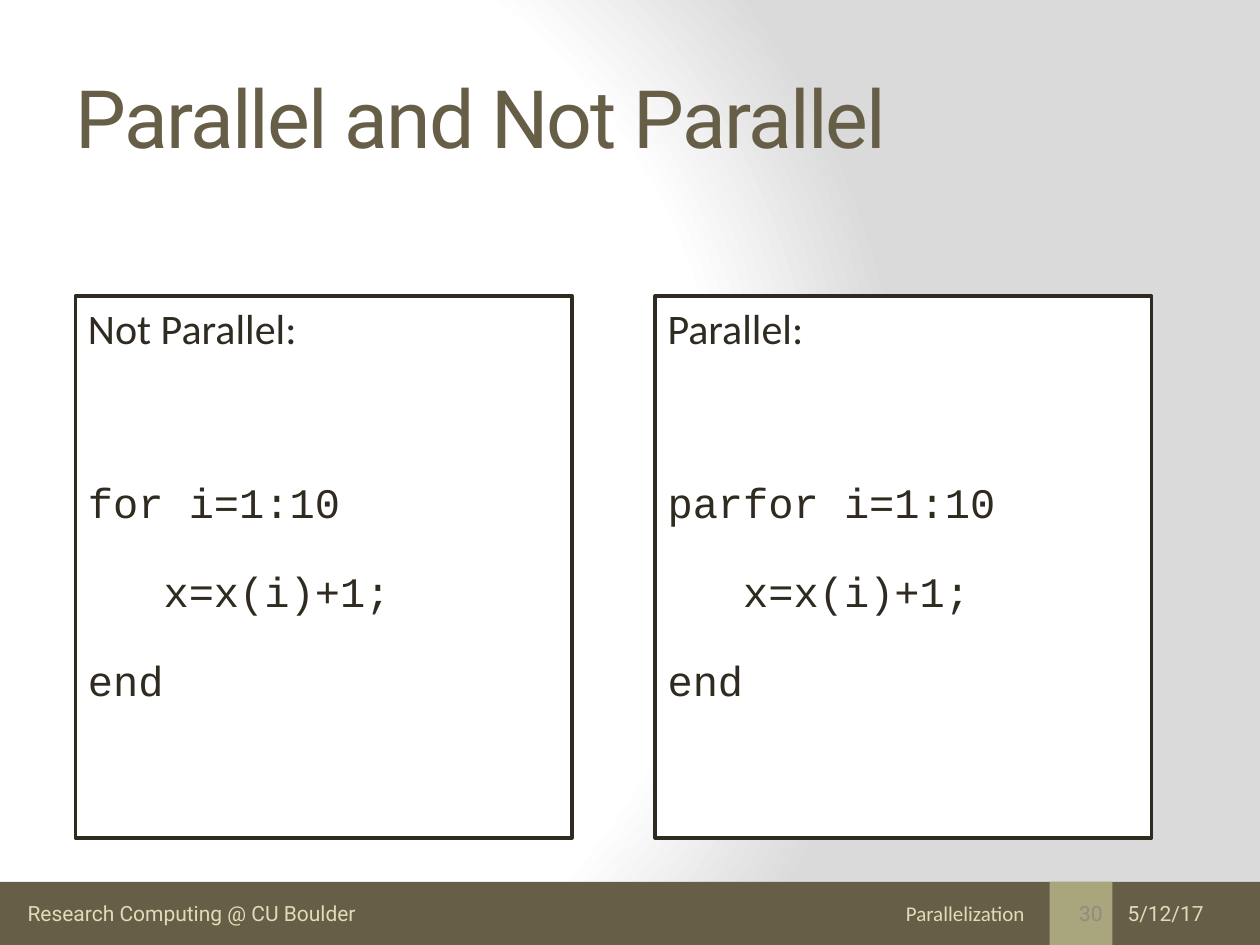
from dataclasses import dataclass

from pptx import Presentation
from pptx.dml.color import RGBColor
from pptx.enum.shapes import MSO_SHAPE
from pptx.enum.text import MSO_ANCHOR, MSO_AUTO_SIZE, PP_ALIGN
from pptx.oxml import parse_xml
from pptx.oxml.ns import nsdecls
from pptx.util import Inches, Pt

RECTANGLE = MSO_SHAPE.RECTANGLE
TOP, MIDDLE = MSO_ANCHOR.TOP, MSO_ANCHOR.MIDDLE
LEFT, RIGHT = PP_ALIGN.LEFT, PP_ALIGN.RIGHT
NO_AUTOFIT = MSO_AUTO_SIZE.NONE

BROWN = RGBColor(0x67, 0x5E, 0x47)
OLIVE = RGBColor(0xA9, 0xA5, 0x7C)
CREAM = RGBColor(0xDF, 0xDC, 0xB7)
INK = RGBColor(0x2F, 0x2B, 0x20)
GREY = RGBColor(0x8F, 0x8C, 0x82)
WHITE = RGBColor(0xFF, 0xFF, 0xFF)

PAGE_WIDTH, PAGE_HEIGHT = 10, 7.5
BAR_HEIGHT = 0.5
BAR_TOP = PAGE_HEIGHT - BAR_HEIGHT
PANEL_LEFT, PANEL_TOP = 0.6, 2.35
PANEL_WIDTH, PANEL_HEIGHT = 3.94, 4.3
PANEL_PITCH = 4.6

BACKGROUND = f"""<p:bg {nsdecls('p', 'a')}><p:bgPr><a:gradFill rotWithShape="1"><a:gsLst>
<a:gs pos="0"><a:srgbClr val="FFFFFF"/></a:gs>
<a:gs pos="75000"><a:srgbClr val="FFFFFF"/></a:gs>
<a:gs pos="100000"><a:srgbClr val="DADADA"/></a:gs></a:gsLst>
<a:path path="circle"><a:fillToRect l="20000" t="50000" r="100000" b="50000"/></a:path>
</a:gradFill><a:effectLst/></p:bgPr></p:bg>"""


@dataclass
class Panel:
    heading: str
    code: list[str]


@dataclass
class FooterText:
    text: str
    left: float
    width: float
    font: str = "Roboto"
    color: RGBColor = CREAM
    align: PP_ALIGN = LEFT
    wrap: bool = True


PANELS = [
    Panel("Not Parallel:", ["for i=1:10", "   x=x(i)+1;", "end"]),
    Panel("Parallel:", ["parfor i=1:10", "   x=x(i)+1;", "end"]),
]
FOOTER = [
    FooterText("Research Computing @ CU Boulder", 0.12, 2.91, wrap=False),
    FooterText("Parallelization", 2.74, 5.49, font="Calibri", align=RIGHT),
    FooterText("30", 8.33, 0.52, color=GREY, align=RIGHT),
    FooterText("5/12/17", 8.85, 1.08),
]


def add_run(para, text: str, font: str, size: float, color: RGBColor):
    span = para.add_run()
    span.text = text
    span.font.name = font
    span.font.size = Pt(size)
    span.font.color.rgb = color
    return span


def add_box(page, left: float, top: float, width: float, height: float, fill: RGBColor):
    box = page.shapes.add_shape(
        RECTANGLE, Inches(left), Inches(top), Inches(width), Inches(height))
    box.shadow.inherit = False
    box.fill.solid()
    box.fill.fore_color.rgb = fill
    box.line.fill.background()
    return box


def add_panel(page, column: int, panel: Panel) -> None:
    box = add_box(page, PANEL_LEFT + column * PANEL_PITCH, PANEL_TOP,
                  PANEL_WIDTH, PANEL_HEIGHT, WHITE)
    box.line.color.rgb = INK
    box.line.width = Pt(2)
    frame = box.text_frame
    frame.word_wrap = True
    frame.vertical_anchor = TOP
    heading = frame.paragraphs[0]
    heading.alignment = LEFT
    add_run(heading, panel.heading, "Calibri", 24, INK)
    for row, line in enumerate(panel.code):
        para = frame.add_paragraph()
        para.alignment = LEFT
        para.space_before = Pt(22 if row else 71)
        add_run(para, line, "Courier New", 24, INK)


def add_footer_text(page, item: FooterText) -> None:
    box = page.shapes.add_textbox(Inches(item.left), Inches(BAR_TOP + 0.05),
                                  Inches(item.width), Inches(BAR_HEIGHT - 0.1))
    frame = box.text_frame
    frame.word_wrap = item.wrap
    frame.vertical_anchor = MIDDLE
    para = frame.paragraphs[0]
    para.alignment = item.align
    add_run(para, item.text, item.font, 12, item.color)


def main() -> None:
    deck = Presentation()
    deck.slide_width, deck.slide_height = Inches(PAGE_WIDTH), Inches(PAGE_HEIGHT)
    page = deck.slides.add_slide(deck.slide_layouts[5])
    page._element.cSld.insert(0, parse_xml(BACKGROUND))

    # Title
    title = page.shapes.title
    title.left, title.top = Inches(0.5), Inches(0.3)
    title.width, title.height = Inches(8.96), Inches(1.25)
    frame = title.text_frame
    frame.auto_size = NO_AUTOFIT
    frame.vertical_anchor = MIDDLE
    para = frame.paragraphs[0]
    para.alignment = LEFT
    span = add_run(para, "Parallel and Not Parallel", "Roboto", 46, BROWN)
    span.font._element.set("spc", "-100")

    # Footer bar, number tile and labels
    add_box(page, 0, BAR_TOP, PAGE_WIDTH, BAR_HEIGHT, BROWN)
    add_box(page, 8.33, BAR_TOP, BAR_HEIGHT, BAR_HEIGHT, OLIVE)
    for item in FOOTER:
        add_footer_text(page, item)

    # Code panels
    for column, panel in enumerate(PANELS):
        add_panel(page, column, panel)

    deck.save("out.pptx")


if __name__ == "__main__":
    main()
